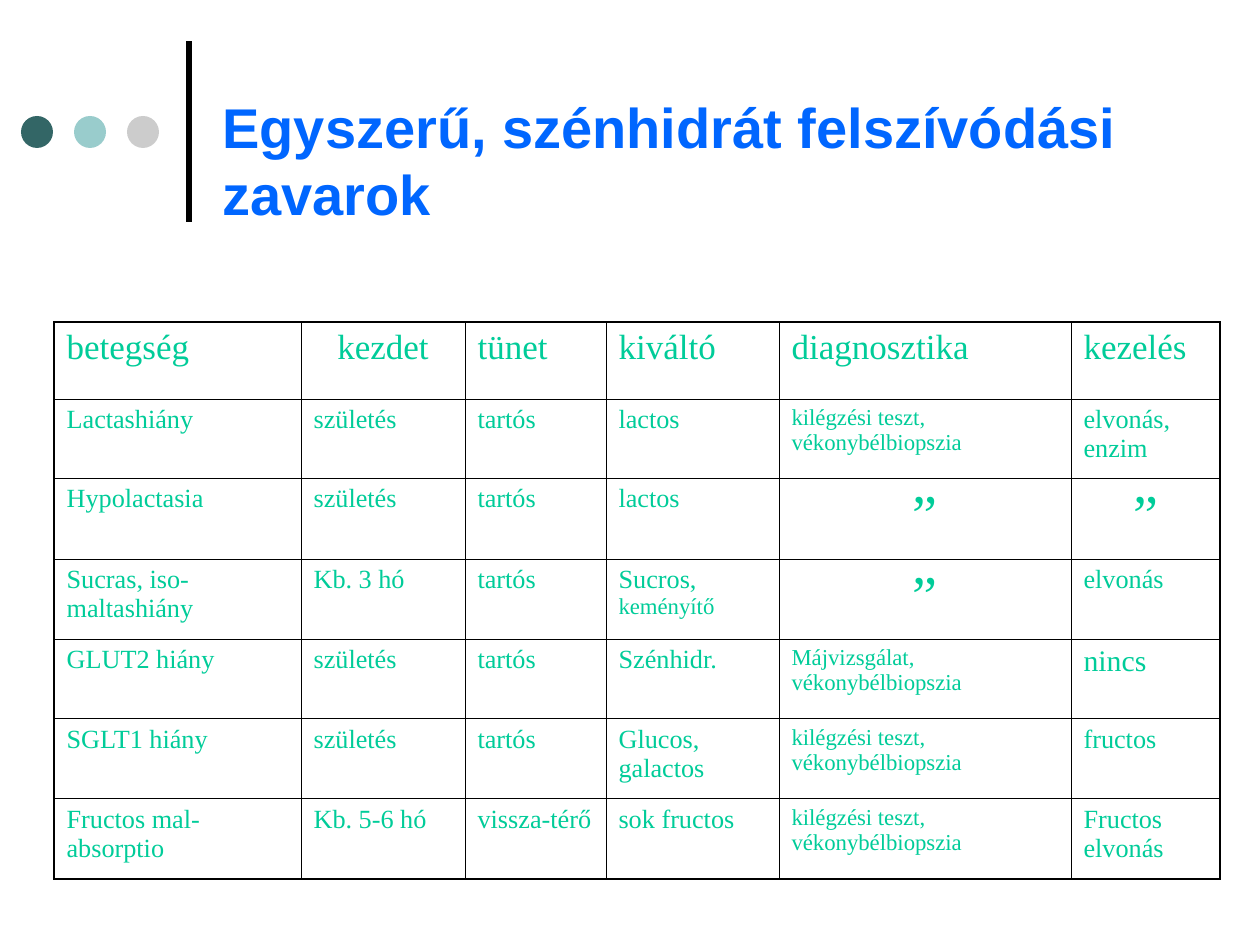
import pptx
import pptx.dml.color
import pptx.enum.shapes
import pptx.enum.text
import pptx.oxml.ns
import pptx.util
from lxml import etree

EMU_PER_PX = 914400 / 126
CENTER = pptx.enum.text.PP_ALIGN.CENTER

COLUMN_WIDTHS = [247, 164, 141, 173, 292, 149]
ROW_HEIGHTS = [77, 79, 81, 80, 80, 80, 80]
HEADER_SIZE, BODY_SIZE, SMALL_SIZE, DITTO_SIZE = 20, 15, 13, 32
DIAGNOSTICS_COLUMN = 4
DITTO = "”"
DISORDERS = [
    ["betegség", "kezdet", "tünet", "kiváltó", "diagnosztika", "kezelés"],
    ["Lactashiány", "születés", "tartós", "lactos",
     "kilégzési teszt, vékonybélbiopszia", "elvonás, enzim"],
    ["Hypolactasia", "születés", "tartós", "lactos", DITTO, DITTO],
    ["Sucras, iso-maltashiány", "Kb. 3 hó", "tartós",
     [("Sucros, ", BODY_SIZE), ("keményítő", SMALL_SIZE)], DITTO, "elvonás"],
    ["GLUT2 hiány", "születés", "tartós", "Szénhidr.",
     "Májvizsgálat, vékonybélbiopszia", [("nincs", 17)]],
    ["SGLT1 hiány", "születés", "tartós", "Glucos, galactos",
     "kilégzési teszt, vékonybélbiopszia", "fructos"],
    ["Fructos mal-absorptio", "Kb. 5-6 hó", "vissza-térő", "sok fructos",
     "kilégzési teszt, vékonybélbiopszia", "Fructos elvonás"],
]


def px(length):
    return pptx.util.Emu(round(length * EMU_PER_PX))


def color(hex_string):
    return pptx.dml.color.RGBColor.from_string(hex_string)


def add_run(paragraph, text, hex_string, **font_format):
    run = paragraph.add_run()
    run.text = text
    run.font.color.rgb = color(hex_string)
    for attribute, value in font_format.items():
        setattr(run.font, attribute, value)


def add_ornament(slide, left, top, width, height):
    """Three dots in a row, with a vertical rule at the right edge of the box."""
    dot_size, dot_pitch, dot_drop = 32, 53, 75
    rule = slide.shapes.add_connector(
        pptx.enum.shapes.MSO_CONNECTOR.STRAIGHT,
        px(left + width), px(top + height), px(left + width), px(top))
    rule.line.color.rgb = color("000000")
    rule.line.width = pptx.util.Pt(3)
    etree.SubElement(rule._element.spPr, pptx.oxml.ns.qn("a:effectLst"))

    for index, dot_color in enumerate(["336666", "99CCCC", "CCCCCC"]):
        dot = slide.shapes.add_shape(
            pptx.enum.shapes.MSO_SHAPE.OVAL, px(left + index * dot_pitch),
            px(top + dot_drop), px(dot_size), px(dot_size))
        dot.shadow.inherit = False
        dot.fill.solid()
        dot.fill.fore_color.rgb = color(dot_color)
        dot.line.fill.background()


def add_title(slide, left, top, width, height):
    title = slide.shapes.add_textbox(px(left), px(top), px(width), px(height))
    frame_format = {
        "word_wrap": True,
        "vertical_anchor": pptx.enum.text.MSO_ANCHOR.MIDDLE,
    }
    for attribute, value in frame_format.items():
        setattr(title.text_frame, attribute, value)
    add_run(title.text_frame.paragraphs[0],
            "Egyszerű, szénhidrát felszívódási zavarok", "0066FF",
            name="Arial", size=pptx.util.Pt(32), bold=True)


def set_borders(cell, outer_sides):
    """Draw all four borders, heavier on the sides at the edge of the table."""
    properties = cell._tc.get_or_add_tcPr()
    for side in "LRTB":
        width = pptx.util.Pt(1.08 if side in outer_sides else 0.45)
        border = etree.SubElement(
            properties, pptx.oxml.ns.qn(f"a:ln{side}"), w=str(width))
        fill = etree.SubElement(border, pptx.oxml.ns.qn("a:solidFill"))
        etree.SubElement(fill, pptx.oxml.ns.qn("a:srgbClr"), val="000000")


def cell_size(row, column, content):
    if row == 0:
        return HEADER_SIZE
    if content == DITTO:
        return DITTO_SIZE
    return SMALL_SIZE if column == DIAGNOSTICS_COLUMN else BODY_SIZE


def add_disorder_table(slide, left, top):
    row_count, column_count = len(ROW_HEIGHTS), len(COLUMN_WIDTHS)
    table = slide.shapes.add_table(
        row_count, column_count, px(left), px(top),
        px(sum(COLUMN_WIDTHS)), px(sum(ROW_HEIGHTS))).table
    for attribute in ("first_row", "horz_banding"):
        setattr(table, attribute, False)
    for column, width in zip(table.columns, COLUMN_WIDTHS):
        column.width = px(width)
    for row, height in zip(table.rows, ROW_HEIGHTS):
        row.height = px(height)

    for row, disorder in enumerate(DISORDERS):
        for column, content in enumerate(disorder):
            cell = table.cell(row, column)
            edges = {"L": column == 0, "R": column == column_count - 1,
                     "T": row == 0, "B": row == row_count - 1}
            set_borders(cell, [side for side in edges if edges[side]])
            cell.fill.background()
            paragraph = cell.text_frame.paragraphs[0]
            if content in ("kezdet", DITTO):
                paragraph.alignment = CENTER
            if isinstance(content, str):
                content = [(content, cell_size(row, column, content))]
            for text, size in content:
                add_run(paragraph, text, "00CC99", name="Times New Roman",
                        size=pptx.util.Pt(size), bold=False)


def main():
    presentation = pptx.Presentation()
    presentation.slide_width = px(1260)
    presentation.slide_height = px(945)
    slide = presentation.slides.add_slide(presentation.slide_layouts[6])
    add_ornament(slide, 21, 41, 168, 181)
    add_title(slide, 210, 55, 965, 209)
    add_disorder_table(slide, 54, 322)
    presentation.save("out.pptx")


if __name__ == "__main__":
    main()
